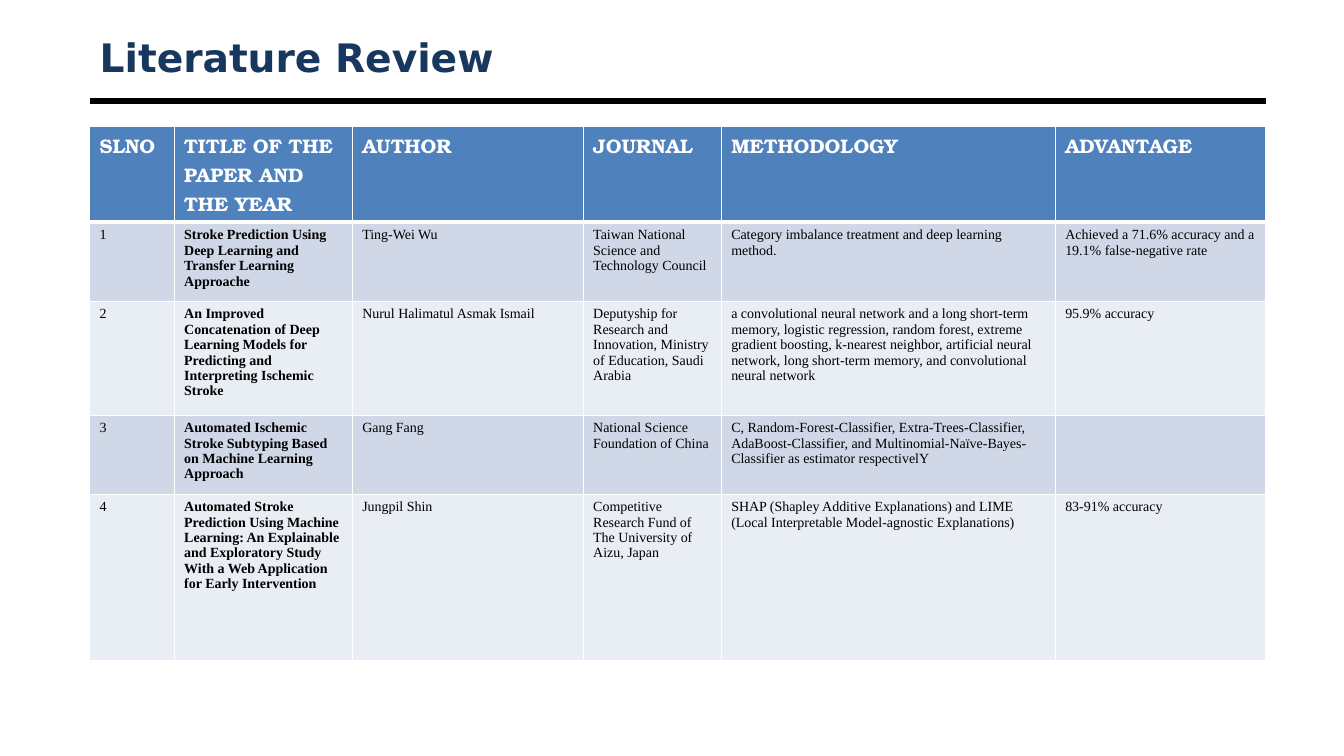
from lxml import etree
from pptx import Presentation
from pptx.dml.color import RGBColor
from pptx.enum.shapes import MSO_CONNECTOR
from pptx.enum.text import MSO_ANCHOR, PP_ALIGN
from pptx.oxml.ns import qn
from pptx.util import Pt

LINE = MSO_CONNECTOR.STRAIGHT
MIDDLE = MSO_ANCHOR.MIDDLE
LEFT = PP_ALIGN.LEFT

COLORS = {
    "ink": "000000",
    "navy": "17375E",
    "white": "FFFFFF",
    "head": "4F81BD",
    "odd": "D0D8E8",
    "even": "E9EDF4",
}
EDGE, WIDTH = 64, 840
COLS = [60.4, 127.2, 165, 98.6, 238.6, 150.2]
ROWS = [68.6, 56.4, 81.4, 56.4, 119]
PAPERS = [
    ["SLNO", "TITLE OF THE PAPER AND THE YEAR", "AUTHOR", "JOURNAL",
     "METHODOLOGY", "ADVANTAGE"],
    ["1", "Stroke Prediction Using Deep Learning and Transfer Learning Approache",
     "Ting-Wei Wu", "Taiwan National Science and Technology Council",
     "Category imbalance treatment and deep learning method.",
     "Achieved a 71.6% accuracy and a 19.1% false-negative rate"],
    ["2", "An Improved Concatenation of Deep Learning Models for Predicting "
     "and Interpreting Ischemic Stroke",
     "Nurul Halimatul Asmak Ismail",
     "Deputyship for Research and Innovation, Ministry of Education, Saudi Arabia",
     "a convolutional neural network and a long short-term memory, logistic "
     "regression, random forest, extreme gradient boosting, k-nearest neighbor, "
     "artificial neural network, long short-term memory, and convolutional "
     "neural network",
     "95.9% accuracy"],
    ["3", "Automated Ischemic Stroke Subtyping Based on Machine Learning Approach",
     "Gang Fang", "National Science Foundation of China",
     "C, Random-Forest-Classifier, Extra-Trees-Classifier, AdaBoost-Classifier, "
     "and Multinomial-Naïve-Bayes-Classifier as estimator respectivelY",
     ""],
    ["4", "Automated Stroke Prediction Using Machine Learning: An Explainable and "
     "Exploratory Study With a Web Application for Early Intervention",
     "Jungpil Shin", "Competitive Research Fund of The University of Aizu, Japan",
     "SHAP (Shapley Additive Explanations) and LIME (Local Interpretable "
     "Model-agnostic Explanations)",
     "83-91% accuracy"],
]


class Deck:
    """Holds the style and the current slide."""

    def __init__(self):
        self.deck = Presentation()
        self.deck.slide_width, self.deck.slide_height = Pt(960), Pt(540)
        self.slide = self.deck.slides.add_slide(self.deck.slide_layouts[5])

    def color(self, name):
        return RGBColor.from_string(COLORS[name])

    def label(self, frame, text, face, size, color, bold):
        frame.text = text
        para = frame.paragraphs[0]
        para.alignment = LEFT
        font = para.font
        font.name, font.size, font.bold = face, Pt(size), bold
        font.color.rgb = self.color(color)

    def title(self, text, x, y, w, h):
        shape = self.slide.shapes.title
        shape.left, shape.top, shape.width, shape.height = map(Pt, (x, y, w, h))
        shape.text_frame.vertical_anchor = MIDDLE
        self.label(shape.text_frame, text, "DejaVu Sans", 28, "navy", True)

    def rule(self, x, y, w, weight):
        line = self.slide.shapes.add_connector(LINE, Pt(x), Pt(y), Pt(x + w), Pt(y))
        line.line.color.rgb = self.color("ink")
        line.line.width = Pt(weight)
        etree.SubElement(line._element.spPr, qn("a:effectLst"))

    def border(self, cell, row):
        props = cell._tc.get_or_add_tcPr()
        for side in "LRTB":
            thick = (row, side) in ((0, "B"), (1, "T"))
            line = etree.SubElement(props, qn(f"a:ln{side}"), w=str(Pt(3 if thick else 1)))
            fill = etree.SubElement(line, qn("a:solidFill"))
            etree.SubElement(fill, qn("a:srgbClr"), val=COLORS["white"])

    def table(self, data, x, y, cols, rows):
        grid = self.slide.shapes.add_table(
            len(rows), len(cols), Pt(x), Pt(y), Pt(sum(cols)), Pt(sum(rows))).table
        for col, size in zip(grid.columns, cols):
            col.width = Pt(size)
        for row, size in zip(grid.rows, rows):
            row.height = Pt(size)
        for r, texts in enumerate(data):
            for c, text in enumerate(texts):
                cell = grid.cell(r, c)
                self.border(cell, r)
                cell.fill.solid()
                shade = "head" if r == 0 else "odd" if r % 2 else "even"
                cell.fill.fore_color.rgb = self.color(shade)
                if r == 0:
                    style = ("TeX Gyre Bonum", 14, "white", True)
                else:
                    style = ("Times New Roman", 10, "ink", c == 1)
                self.label(cell.text_frame, text, *style)


def main():
    deck = Deck()
    deck.rule(EDGE, 72, WIDTH, 4.5)
    deck.title("Literature Review", EDGE, 21.6, WIDTH, 38.2)
    deck.table(PAPERS, EDGE, 90, COLS, ROWS)
    deck.deck.save("out.pptx")


if __name__ == "__main__":
    main()
